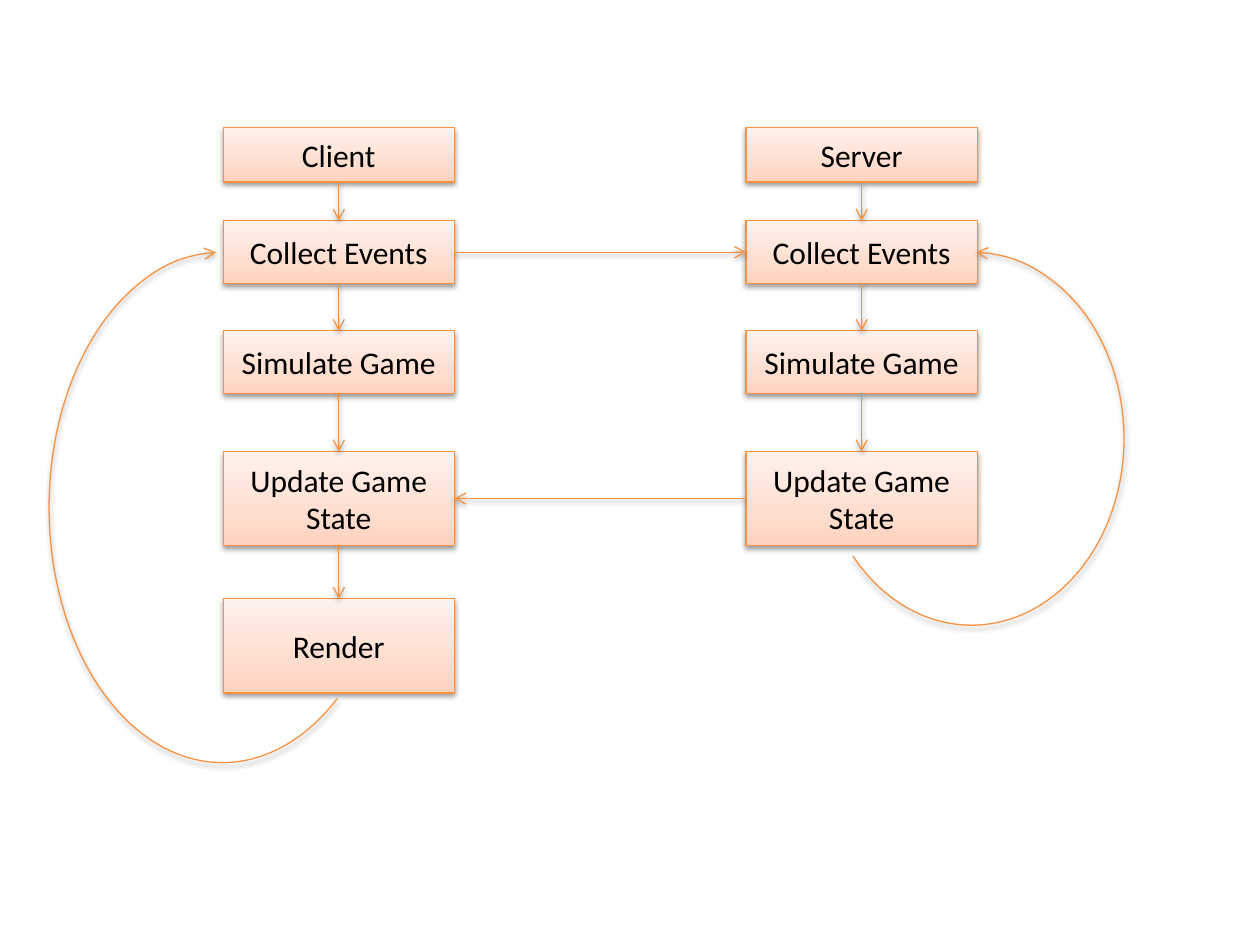
from lxml import etree
from pptx import Presentation
from pptx.dml.color import RGBColor
from pptx.enum.shapes import MSO_CONNECTOR, MSO_SHAPE
from pptx.enum.text import MSO_ANCHOR, PP_ALIGN
from pptx.oxml.ns import qn
from pptx.util import Cm, Pt

RECT, ARC = MSO_SHAPE.RECTANGLE, MSO_SHAPE.ARC
STRAIGHT = MSO_CONNECTOR.STRAIGHT
MIDDLE, CENTER = MSO_ANCHOR.MIDDLE, PP_ALIGN.CENTER
TOP, LEFT, BOTTOM, RIGHT = range(4)

ORANGE = "F69240"
GRADIENT = [(0, "FFD2BD"), (35, "FFDED0"), (100, "FFF2ED")]
BOX_W = 4.66
# Top and height of each step, in cm
ROWS = [(2.57, 1.1), (4.45, 1.27), (6.67, 1.27), (9.1, 1.9), (12.07, 1.9)]
STEPS = ["Collect Events", "Simulate Game", "Update Game State"]


def color(value):
    return RGBColor.from_string(value)


def add_child(parent, tag, **attrs):
    child = etree.SubElement(parent, qn(tag))
    for name, value in attrs.items():
        child.set(name, str(value))
    return child


def add_color(parent, value):
    return add_child(parent, "a:srgbClr", val=value)


def style_outline(shape, arrow=None):
    """Give an orange line, a soft shadow and, if named, an arrowhead."""
    shape.line.color.rgb = color(ORANGE)
    shape.line.width = Pt(0.75)
    sp_pr = shape._element.spPr
    if arrow:
        add_child(sp_pr.find(qn("a:ln")), arrow, type="arrow")
    effects = add_child(sp_pr, "a:effectLst")
    shadow = add_child(effects, "a:outerShdw", blurRad=Pt(3.1), dist=Pt(1.6),
                       dir=90 * 60000, rotWithShape=0)
    add_child(add_color(shadow, "000000"), "a:alpha", val=38000)


def fill_gradient(shape):
    shape.fill.gradient()
    shape.fill.gradient_angle = 90
    stops = shape._element.spPr.find(qn("a:gradFill")).find(qn("a:gsLst"))
    for stop in list(stops):
        stops.remove(stop)
    for position, value in GRADIENT:
        add_color(add_child(stops, "a:gs", pos=position * 1000), value)


def write_text(shape, text, size=18, font="Calibri", ink="000000"):
    tf = shape.text_frame
    tf.word_wrap = True
    tf.vertical_anchor = MIDDLE
    p = tf.paragraphs[0]
    p.alignment = CENTER
    r = p.add_run()
    r.text = text
    r.font.size = Pt(size)
    r.font.name = font
    r.font.color.rgb = color(ink)


def add_step(s, text, x, y, w, h):
    sp = s.shapes.add_shape(RECT, Cm(x), Cm(y), Cm(w), Cm(h))
    fill_gradient(sp)
    style_outline(sp)
    write_text(sp, text)
    return sp


def add_arrow(s, start, start_side, end, end_side):
    line = s.shapes.add_connector(STRAIGHT, 0, 0, 0, 0)
    line.begin_connect(start, start_side)
    line.end_connect(end, end_side)
    style_outline(line, "a:tailEnd")


def add_column(s, x, labels):
    """Stack the steps from the top and link each to the next."""
    steps = [add_step(s, text, x, y, BOX_W, h)
             for text, (y, h) in zip(labels, ROWS)]
    for upper, lower in zip(steps, steps[1:]):
        add_arrow(s, upper, BOTTOM, lower, TOP)
    return steps


def add_loop(s, x, y, w, h, end, flip=False):
    """Draw the arc that leads back to the first step of the loop."""
    arc = s.shapes.add_shape(ARC, Cm(x), Cm(y), Cm(w), Cm(h))
    arc.adjustments[0] = 162.86
    arc.adjustments[1] = end
    arc.fill.background()
    if flip:
        arc._element.spPr.find(qn("a:xfrm")).set("flipH", "1")
    style_outline(arc, "a:headEnd")


def main():
    prs = Presentation()
    prs.slide_width, prs.slide_height = Cm(25.4), Cm(19.05)
    s = prs.slides.add_slide(prs.slide_layouts[6])

    client = add_column(s, 4.5, ["Client", *STEPS, "Render"])
    server = add_column(s, 15.04, ["Server", *STEPS])
    add_arrow(s, client[1], RIGHT, server[1], LEFT)
    add_arrow(s, server[3], LEFT, client[3], RIGHT)

    collect_y, collect_h = ROWS[1]
    loop_y = collect_y + collect_h / 2
    add_loop(s, 0.99, loop_y, 6.99, 10.29, end=72.6, flip=True)
    add_loop(s, 16.51, loop_y, 6.15, 7.52, end=81.15)

    prs.save("out.pptx")


if __name__ == "__main__":
    main()
